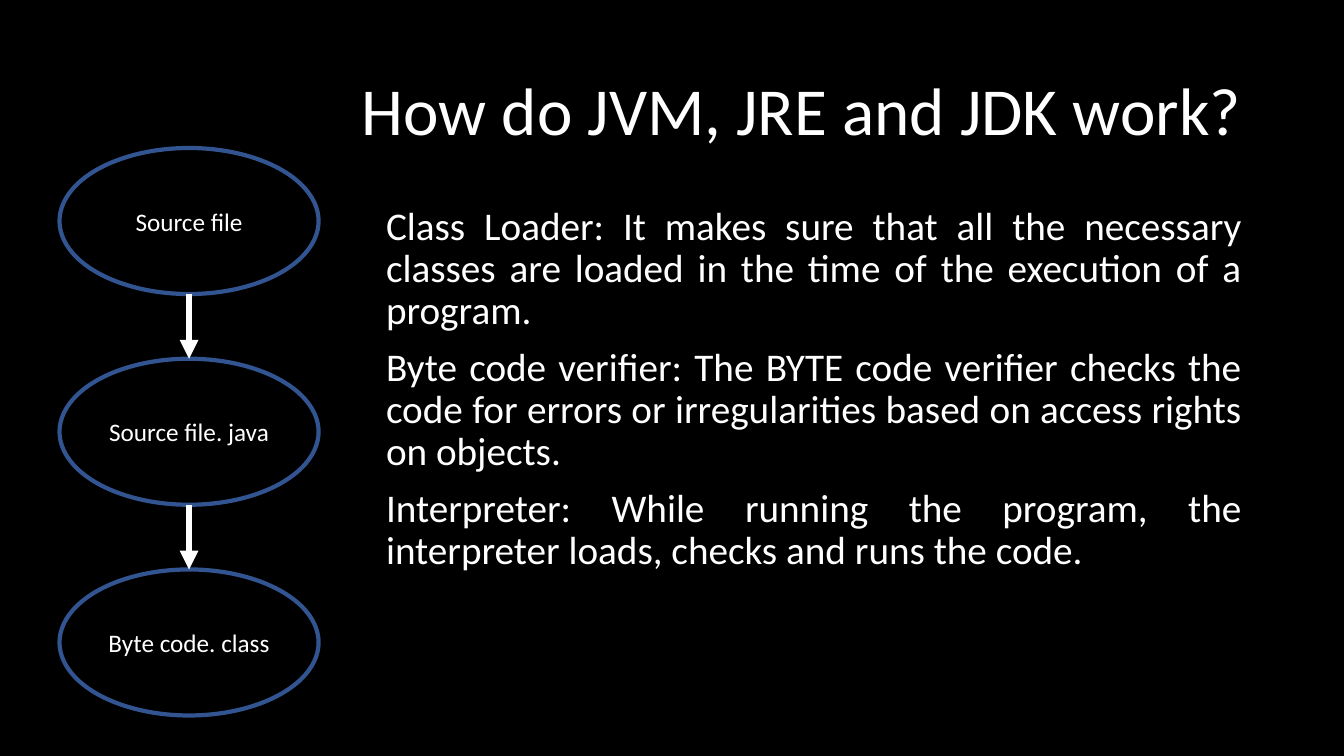
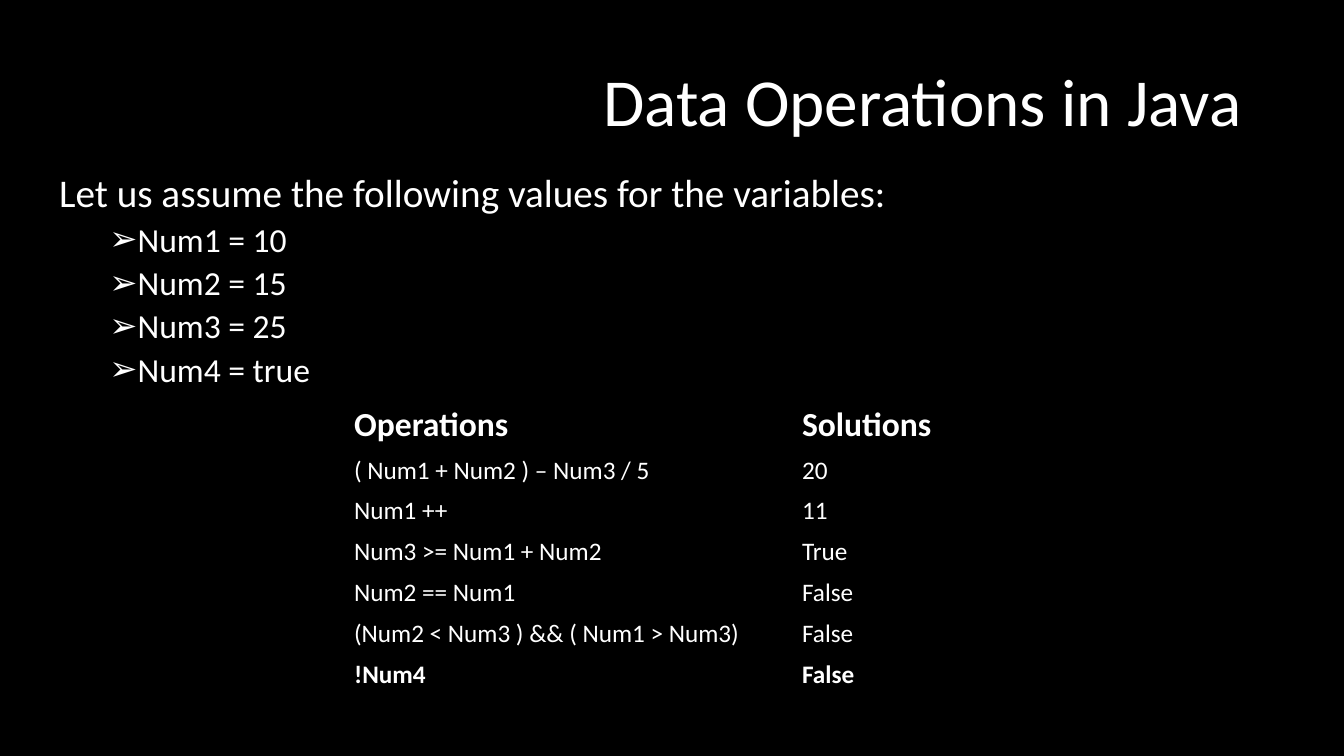
import lxml.etree
import pptx
import pptx.dml.color
import pptx.enum.shapes
import pptx.enum.text
import pptx.oxml.ns
import pptx.util

Cm, Pt = pptx.util.Cm, pptx.util.Pt
RGBColor = pptx.dml.color.RGBColor
PP_ALIGN = pptx.enum.text.PP_ALIGN
qn = pptx.oxml.ns.qn

BLACK = RGBColor(0x00, 0x00, 0x00)
WHITE = RGBColor(0xFF, 0xFF, 0xFF)
BLUE = RGBColor(0x32, 0x54, 0x91)
FONT = "Calibri"
TITLE_SIZE, BODY_SIZE, ITEM_SIZE, LABEL_SIZE = 48, 28, 24, 18
NO_GRID_STYLE = "{2D5ABB26-0587-4C30-8999-92F81FD0307C}"

COMPONENTS = [
    "Class Loader: It makes sure that all the necessary classes are loaded "
    "in the time of the execution of a program.",
    "Byte code verifier: The BYTE code verifier checks the code for errors "
    "or irregularities based on access rights on objects.",
    "Interpreter: While running the program, the interpreter loads, checks "
    "and runs the code.",
]
STAGES = ["Source file", "Source file. java", "Byte code. class"]
VARIABLES = ["Num1 = 10", "Num2 = 15", "Num3 = 25", "Num4 = true"]
OPERATIONS = [
    ("Operations", "Solutions"),
    ("( Num1 + Num2 ) – Num3 / 5", "20"),
    ("Num1 ++", "11"),
    ("Num3 >= Num1 + Num2", "True"),
    ("Num2 == Num1", "False"),
    ("(Num2 < Num3 ) && ( Num1 > Num3)", "False"),
    ("!Num4", "False"),
]


def fill_black(part):
    part.fill.solid()
    part.fill.fore_color.rgb = BLACK


def add_run(paragraph, text, size, bold=False):
    run = paragraph.add_run()
    run.text = text
    run.font.name = FONT
    run.font.size = Pt(size)
    run.font.bold = bold
    run.font.color.rgb = WHITE


def add_slide(deck):
    slide = deck.slides.add_slide(deck.slide_layouts[6])
    fill_black(slide.background)
    return slide


def add_title(slide, text, box):
    title = slide.shapes.add_textbox(*box)
    fill_black(title)
    frame = title.text_frame
    frame.word_wrap = True
    frame.vertical_anchor = pptx.enum.text.MSO_ANCHOR.MIDDLE
    paragraph = frame.paragraphs[0]
    paragraph.alignment = PP_ALIGN.RIGHT
    paragraph.line_spacing = 0.9
    add_run(paragraph, text, TITLE_SIZE)


def add_arrow_bullet(paragraph):
    properties = paragraph._p.get_or_add_pPr()
    properties.set("marL", str(Cm(1.9)))
    properties.set("indent", str(-Cm(0.63)))
    lxml.etree.SubElement(properties, qn("a:buFont"), typeface=FONT)
    lxml.etree.SubElement(properties, qn("a:buChar"), char="➢")


def add_body(slide, statements, items, box):
    """Write justified statements, followed by bulleted items."""
    frame = slide.shapes.add_textbox(*box).text_frame
    frame.word_wrap = True
    for index, text in enumerate(statements + items):
        is_item = index >= len(statements)
        paragraph = frame.add_paragraph() if index else frame.paragraphs[0]
        if is_item:
            paragraph.level = 1
            add_arrow_bullet(paragraph)
        paragraph.alignment = PP_ALIGN.JUSTIFY
        paragraph.line_spacing = 0.9
        if index:
            paragraph.space_before = Pt(5 if is_item else 10)
        add_run(paragraph, text, ITEM_SIZE if is_item else BODY_SIZE)


def add_stage(slide, label, box):
    stage = slide.shapes.add_shape(pptx.enum.shapes.MSO_SHAPE.OVAL, *box)
    stage.shadow.inherit = False
    fill_black(stage)
    stage.line.color.rgb = BLUE
    stage.line.width = Pt(3)
    paragraph = stage.text_frame.paragraphs[0]
    paragraph.alignment = PP_ALIGN.CENTER
    add_run(paragraph, label, LABEL_SIZE)


def add_down_arrow(slide, x, top, bottom):
    arrow = slide.shapes.add_connector(
        pptx.enum.shapes.MSO_CONNECTOR.STRAIGHT, x, top, x, bottom)
    arrow.line.color.rgb = WHITE
    arrow.line.width = Pt(4.5)
    lxml.etree.SubElement(arrow.line._get_or_add_ln(), qn("a:tailEnd"),
                          type="triangle")
    lxml.etree.SubElement(arrow._element.spPr, qn("a:effectLst"))


def add_compile_flow(slide, stages, box):
    """Stack the stages evenly in the box and link them with arrows."""
    left, top, width, height = box
    stage_height = Cm(3.68)
    step = (height - stage_height) // (len(stages) - 1)
    for index, label in enumerate(stages):
        stage_top = top + index * step
        add_stage(slide, label, (left, stage_top, width, stage_height))
        if index:
            add_down_arrow(slide, left + width // 2,
                           stage_top - step + stage_height, stage_top)


def add_operations_table(slide, rows, box):
    table = slide.shapes.add_table(len(rows), len(rows[0]), *box).table
    table.horz_banding = False
    table._tbl.tblPr.find(qn("a:tableStyleId")).text = NO_GRID_STYLE
    last = len(rows) - 1
    for row_index, values in enumerate(rows):
        for column_index, value in enumerate(values):
            cell = table.cell(row_index, column_index)
            fill_black(cell)
            add_run(cell.text_frame.paragraphs[0], value,
                    LABEL_SIZE if row_index else ITEM_SIZE,
                    bold=row_index in (0, last))


def build_components_slide(deck):
    slide = add_slide(deck)
    add_title(slide, "How do JVM, JRE and JDK work?",
              (Cm(2.33), Cm(1.02), Cm(29.21), Cm(3.68)))
    add_body(slide, COMPONENTS, [],
             (Cm(9.48), Cm(5.07), Cm(22.06), Cm(12.09)))
    add_compile_flow(slide, STAGES,
                     (Cm(1.5), Cm(3.73), Cm(6.53), Cm(14.3)))


def build_operations_slide(deck):
    slide = add_slide(deck)
    add_title(slide, "Data Operations in Java",
              (Cm(1.55), Cm(1.01), Cm(29.99), Cm(3.25)))
    add_body(slide, ["Let us assume the following values for the variables:"],
             VARIABLES, (Cm(1.24), Cm(4.26), Cm(31.52), Cm(13.41)))
    add_operations_table(slide, OPERATIONS,
                         (Cm(8.67), Cm(10.07), Cm(22.58), Cm(7.21)))


def main():
    deck = pptx.Presentation()
    deck.slide_width = Cm(33.87)
    deck.slide_height = Cm(19.05)
    build_components_slide(deck)
    build_operations_slide(deck)
    deck.save("out.pptx")


if __name__ == "__main__":
    main()
